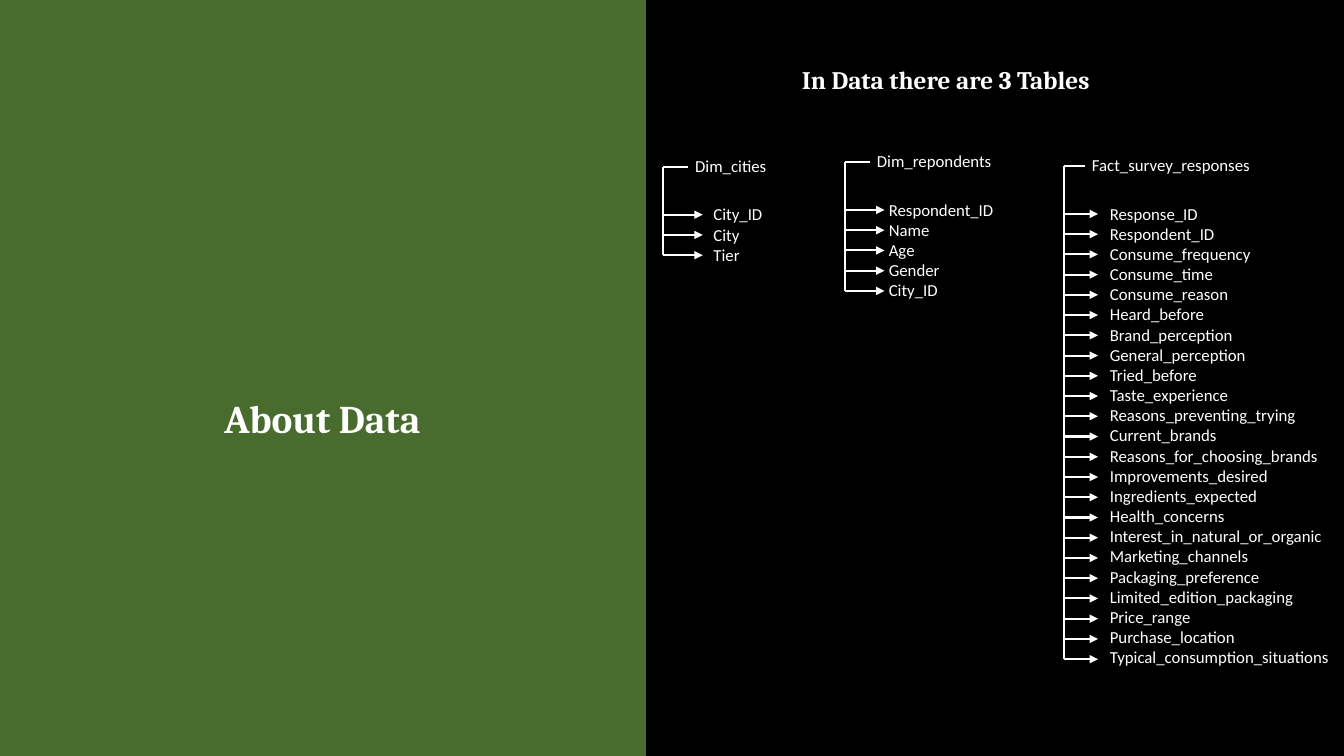
from dataclasses import dataclass

from lxml import etree
from pptx import Presentation
from pptx.dml.color import RGBColor
from pptx.enum.shapes import MSO_CONNECTOR, MSO_SHAPE
from pptx.enum.text import MSO_ANCHOR, PP_ALIGN
from pptx.oxml.ns import qn
from pptx.util import Cm, Pt

STRAIGHT = MSO_CONNECTOR.STRAIGHT
RECTANGLE = MSO_SHAPE.RECTANGLE
MIDDLE, TOP = MSO_ANCHOR.MIDDLE, MSO_ANCHOR.TOP
CENTER, LEFT = PP_ALIGN.CENTER, PP_ALIGN.LEFT
TITLE_ONLY = 5


@dataclass(frozen=True)
class Theme:
    background: RGBColor = RGBColor(0, 0, 0)
    panel: RGBColor = RGBColor(0x48, 0x6B, 0x2E)
    ink: RGBColor = RGBColor(255, 255, 255)
    heading_font: str = "Cambria"
    body_font: str = "Calibri"
    title_size: Pt = Pt(28)
    subtitle_size: Pt = Pt(18)
    body_size: Pt = Pt(12)
    line_width: Pt = Pt(1.5)


THEME = Theme()

# Vertical rhythm of every table tree, in cm
STUB_DROP = 0.4
FIELDS_DROP = 1.22
FIRST_ARROW_DROP = 1.61
ROW_PITCH = 0.51

# Box (left, top, width), stub length, arrow length, field indent, name, fields
TABLES = [
    ((16.71, 3.8, 5.35), 0.64, 1.0, 1.02, "Dim_cities", ["City_ID", "City", "Tier"]),
    ((21.29, 3.68, 5.65), 0.64, 1.0, 0.86, "Dim_repondents",
     ["Respondent_ID", "Name", "Age", "Gender", "City_ID"]),
    ((26.82, 3.78, 7.05), 0.53, 0.85, 0.9, "Fact_survey_responses", [
        "Response_ID", "Respondent_ID", "Consume_frequency", "Consume_time",
        "Consume_reason", "Heard_before", "Brand_perception",
        "General_perception", "Tried_before", "Taste_experience",
        "Reasons_preventing_trying", "Current_brands",
        "Reasons_for_choosing_brands", "Improvements_desired",
        "Ingredients_expected", "Health_concerns",
        "Interest_in_natural_or_organic", "Marketing_channels",
        "Packaging_preference", "Limited_edition_packaging", "Price_range",
        "Purchase_location", "Typical_consumption_situations"]),
]


def write_lines(shape, lines, size, heading=False):
    """Fill a shape with one paragraph per line, as heading or body text."""
    frame = shape.text_frame
    frame.word_wrap = True
    frame.vertical_anchor = MIDDLE if heading else TOP
    for index, line in enumerate(lines):
        paragraph = frame.add_paragraph() if index else frame.paragraphs[0]
        paragraph.alignment = CENTER if heading else LEFT
        paragraph.line_spacing = 0.9 if heading else 1.0
        run = paragraph.add_run()
        run.text = line
        run.font.name = THEME.heading_font if heading else THEME.body_font
        run.font.size = size
        run.font.bold = heading
        run.font.color.rgb = THEME.ink


def add_text(slide, left, top, width, height, lines, size, heading=False):
    shape = slide.shapes.add_textbox(Cm(left), Cm(top), Cm(width), Cm(height))
    write_lines(shape, lines, size, heading)


def add_line(slide, start, end, arrow=False):
    line = slide.shapes.add_connector(STRAIGHT, *map(Cm, start + end))
    line.line.color.rgb = THEME.ink
    line.line.width = THEME.line_width
    if arrow:
        etree.SubElement(line.line._get_or_add_ln(), qn("a:tailEnd"), type="triangle")
    etree.SubElement(line._element.spPr, qn("a:effectLst"))


def add_title_panel(slide, left, top, width, height):
    panel = slide.shapes.add_shape(RECTANGLE, Cm(left), Cm(top), Cm(width), Cm(height))
    panel.shadow.inherit = False
    panel.fill.solid()
    panel.fill.fore_color.rgb = THEME.panel
    panel.line.color.rgb = THEME.panel
    panel.line.width = Pt(1)
    # The title placeholder already exists, so the panel goes behind it
    slide.shapes._spTree.insert(2, panel._element)

    title = slide.shapes.title
    title.left, title.top = Cm(left + 4.93), Cm(top + 9.65)
    title.width, title.height = Cm(6.38), Cm(1.93)
    write_lines(title, ["About Data"], THEME.title_size, heading=True)


def add_table_tree(slide, box, stub, arrow_length, field_indent, name, fields):
    left, top, width = box
    stub_y = top + STUB_DROP
    arrow_ys = [top + FIRST_ARROW_DROP + row * ROW_PITCH for row in range(len(fields))]

    # Table name and its fields
    name_indent = stub - 0.08
    add_text(slide, left + name_indent, top, width - name_indent, 0.77,
             [name], THEME.body_size)
    add_text(slide, left + field_indent, top + FIELDS_DROP, width - field_indent,
             0.25 + ROW_PITCH * len(fields), fields, THEME.body_size)

    # Trunk, stub to the name, one arrow per field
    add_line(slide, (left, arrow_ys[-1]), (left, stub_y))
    add_line(slide, (left, stub_y), (left + stub, stub_y))
    for y in arrow_ys:
        add_line(slide, (left, y), (left + arrow_length, y), arrow=True)


def main():
    presentation = Presentation()
    presentation.slide_width, presentation.slide_height = Cm(33.87), Cm(19.05)
    slide = presentation.slides.add_slide(presentation.slide_layouts[TITLE_ONLY])
    slide.background.fill.solid()
    slide.background.fill.fore_color.rgb = THEME.background

    # Left half
    add_title_panel(slide, 0, 0, 16.26, 19.05)

    # Right half
    add_text(slide, 19.4, 1.6, 8.87, 0.9, ["In Data there are 3 Tables"],
             THEME.subtitle_size, heading=True)
    for table in TABLES:
        add_table_tree(slide, *table)

    presentation.save("out.pptx")


if __name__ == "__main__":
    main()
